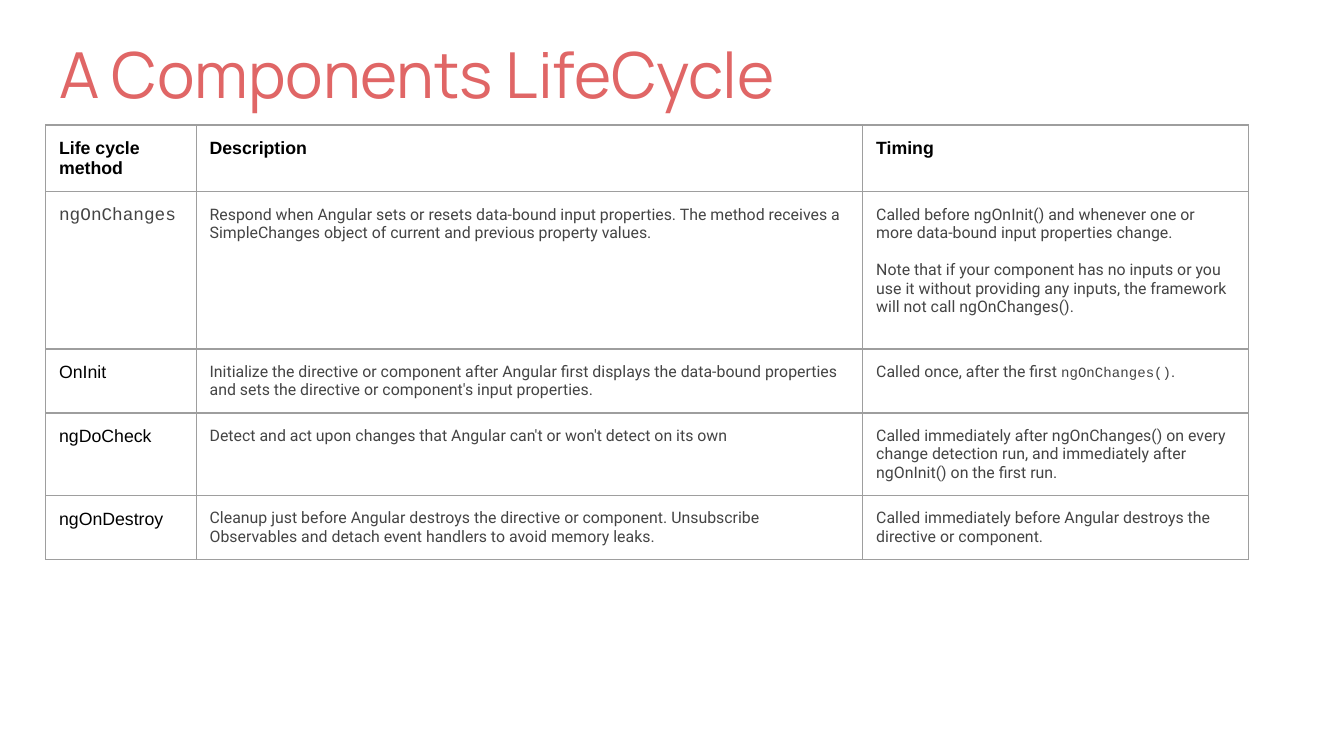
"""Build a slide with a table of the component life cycle methods."""
from lxml import etree
from pptx import Presentation
from pptx.dml.color import RGBColor
from pptx.enum.text import MSO_ANCHOR, MSO_AUTO_SIZE, PP_ALIGN
from pptx.oxml.ns import qn
from pptx.util import Inches, Pt

LEFT = PP_ALIGN.LEFT
BOTTOM = MSO_ANCHOR.BOTTOM
NO_AUTOFIT = MSO_AUTO_SIZE.NONE
TITLE_ONLY = 5

THEME = {
    "title": ("Manrope", 34, "E06666", False),
    "header": ("Arial", 9.5, "000000", True),
    "method": ("Arial", 9.5, "000000", False),
    "code method": ("Courier New", 9.5, "444444", False),
    "detail": ("Roboto", 8.5, "444444", False),
    "code": ("Courier New", 7.5, "444444", False),
    "border": "9E9E9E",
    "border width": Pt(0.75),
    "paragraph gap": Pt(10),
}
COLUMN_WIDTHS = [1.12, 4.96, 2.87]
ROW_HEIGHTS = [0.49, 1.17, 0.47, 0.61, 0.47]

HEADER_STYLES = ["header"] * 3
METHOD_STYLES = ["method", "detail", "detail"]
LIFE_CYCLE = [
    (HEADER_STYLES, ["Life cycle method", "Description", "Timing"]),
    (["code method", "detail", "detail"], [
        "ngOnChanges",
        "Respond when Angular sets or resets data-bound input properties. "
        "The method receives a SimpleChanges object of current and previous property values.",
        "Called before ngOnInit() and whenever one or more data-bound input properties change.\n"
        "Note that if your component has no inputs or you use it without providing any inputs, "
        "the framework will not call ngOnChanges().",
    ]),
    (METHOD_STYLES, [
        "OnInit",
        "Initialize the directive or component after Angular first displays the data-bound "
        "properties and sets the directive or component's input properties.",
        "Called once, after the first `ngOnChanges()`.",
    ]),
    (METHOD_STYLES, [
        "ngDoCheck",
        "Detect and act upon changes that Angular can't or won't detect on its own",
        "Called immediately after ngOnChanges() on every change detection run, "
        "and immediately after ngOnInit() on the first run.",
    ]),
    (METHOD_STYLES, [
        "ngOnDestroy",
        "Cleanup just before Angular destroys the directive or component. "
        "Unsubscribe Observables and detach event handlers to avoid memory leaks.",
        "Called immediately before Angular destroys the directive or component.",
    ]),
]


def style_run(run, style):
    name, size, color, bold = THEME[style]
    run.font.name = name
    run.font.size = Pt(size)
    run.font.color.rgb = RGBColor.from_string(color)
    run.font.bold = bold


def add_borders(cell):
    properties = cell._tc.get_or_add_tcPr()
    for side in ("lnL", "lnR", "lnT", "lnB"):
        line = etree.SubElement(properties, qn(f"a:{side}"), w=str(THEME["border width"]))
        fill = etree.SubElement(line, qn("a:solidFill"))
        etree.SubElement(fill, qn("a:srgbClr"), val=THEME["border"])


presentation = Presentation()
presentation.slide_width = Inches(10)
presentation.slide_height = Inches(10) * 9 // 16
slide = presentation.slides.add_slide(presentation.slide_layouts[TITLE_ONLY])

title = slide.shapes.title
title.left, title.top = Inches(0.34), Inches(0.17)
title.width, title.height = Inches(9.05), Inches(0.76)
heading = title.text_frame
heading.text = "A Components LifeCycle"
heading.word_wrap = True
heading.auto_size = NO_AUTOFIT
heading.vertical_anchor = BOTTOM
heading.margin_left = heading.margin_right = Inches(0.1)
heading.margin_top = heading.margin_bottom = Inches(0.1)
heading.paragraphs[0].alignment = LEFT
style_run(heading.paragraphs[0].runs[0], "title")

methods = slide.shapes.add_table(
    len(ROW_HEIGHTS), len(COLUMN_WIDTHS), Inches(0.34), Inches(0.93),
    Inches(sum(COLUMN_WIDTHS)), Inches(sum(ROW_HEIGHTS)),
).table
methods.first_row = False
methods.horz_banding = False
for column, width in zip(methods.columns, COLUMN_WIDTHS):
    column.width = Inches(width)
for row, height, (styles, entries) in zip(methods.rows, ROW_HEIGHTS, LIFE_CYCLE):
    row.height = Inches(height)
    for cell, style, entry in zip(row.cells, styles, entries):
        cell.margin_left = cell.margin_right = Inches(0.1)
        cell.margin_top = cell.margin_bottom = Inches(0.1)
        add_borders(cell)
        cell.fill.background()
        for index, sentence in enumerate(entry.split("\n")):
            frame = cell.text_frame
            paragraph = frame.add_paragraph() if index else frame.paragraphs[0]
            if index:
                paragraph.space_before = THEME["paragraph gap"]
            for position, part in enumerate(sentence.split("`")):
                run = paragraph.add_run()
                run.text = part
                style_run(run, "code" if position % 2 else style)

presentation.save("out.pptx")
